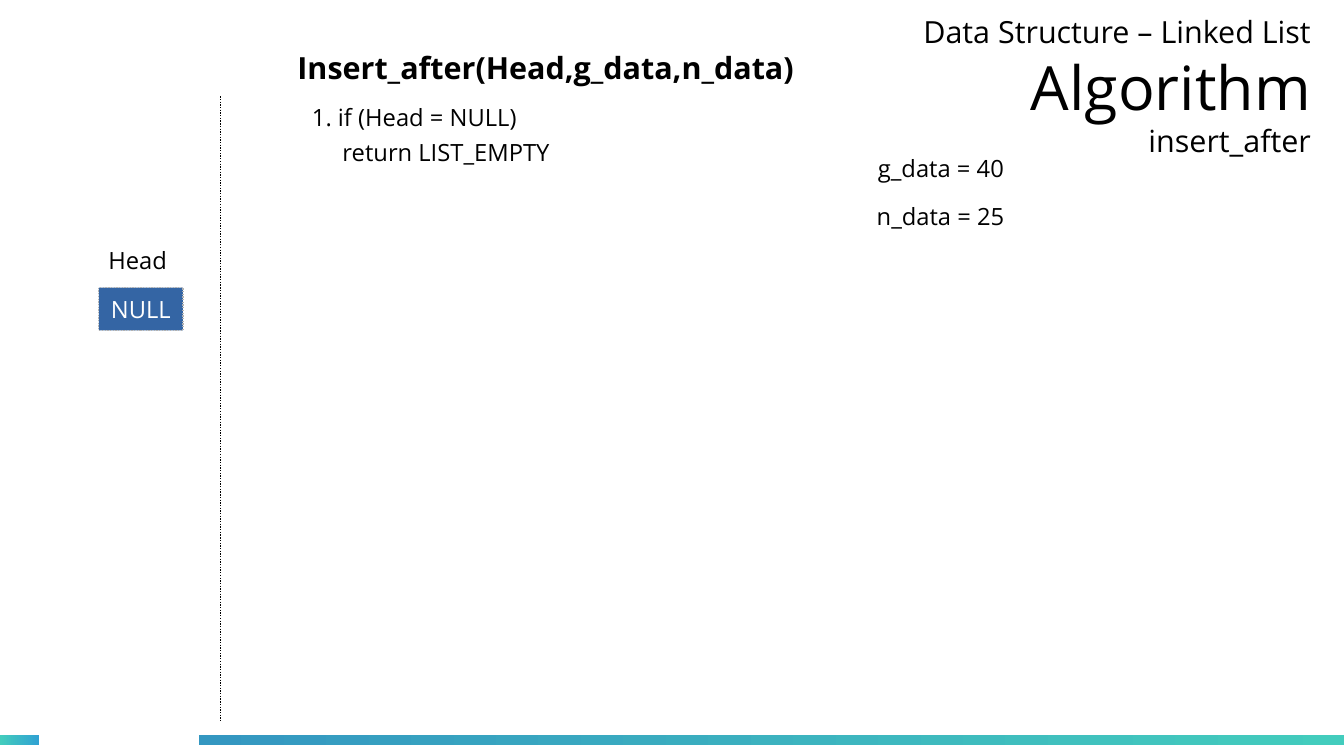
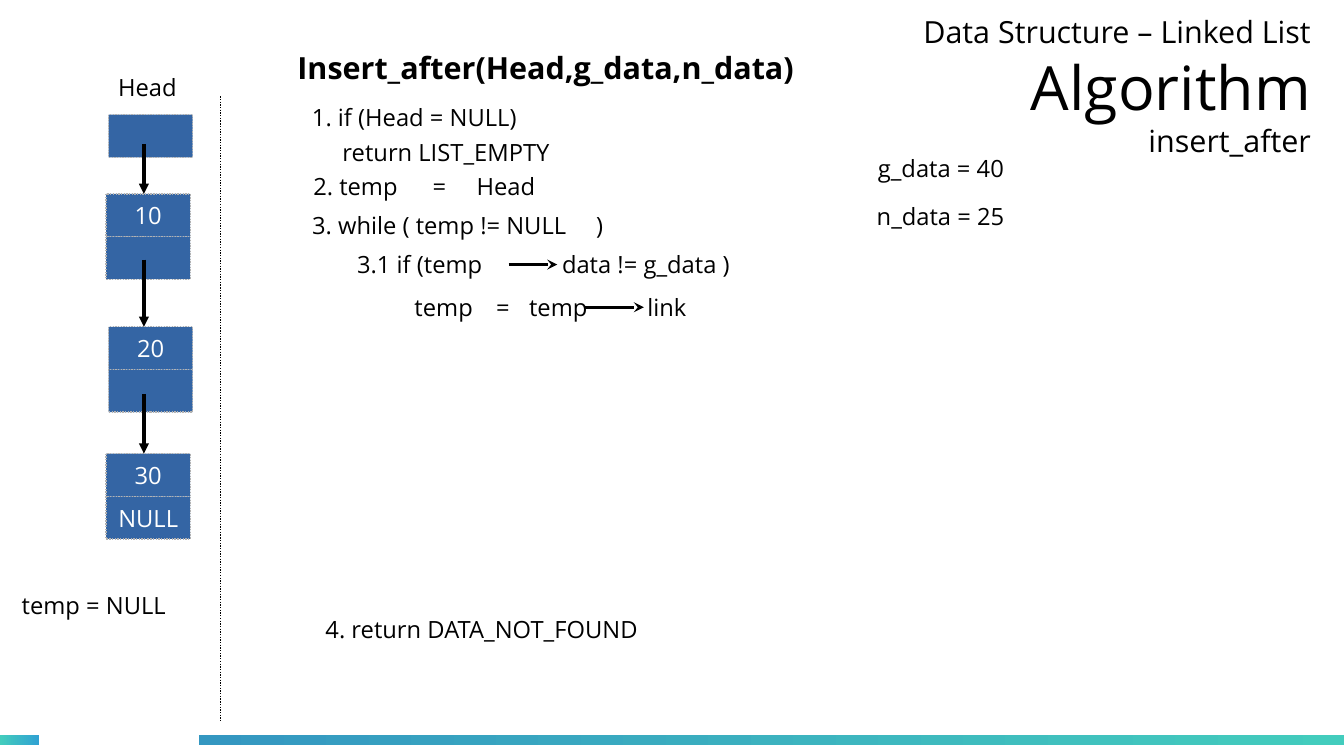
from dataclasses import dataclass

from lxml.etree import SubElement
from pptx import Presentation
from pptx.dml.color import RGBColor
from pptx.enum.dml import MSO_LINE
from pptx.enum.shapes import MSO_CONNECTOR, MSO_SHAPE
from pptx.enum.text import MSO_ANCHOR, MSO_AUTO_SIZE, PP_ALIGN
from pptx.oxml.ns import qn
from pptx.util import Inches, Pt


@dataclass(frozen=True)
class Theme:
    font: str = "Open Sans"
    ink: str = "000000"
    paper: str = "FFFFFF"
    cell: str = "3465A4"
    cell_border: str = "B2B2B2"
    teal: str = "43CCBD"
    sky: str = "30A2D2"
    blue: str = "3497C1"
    body: int = 14
    heading: int = 18
    title: int = 36
    border: float = 0.79
    hairline: float = 0


THEME = Theme()
TITLE_BOX = (7.29, -0.02, 3.46, 1.45)
TITLE_LINES = [
    ("Data Structure – Linked List", THEME.heading),
    ("Algorithm", THEME.title),
    ("insert_after", THEME.heading),
]
FOOTER_BANDS = [
    ((0, 6.03, 0.32, 0.08), (THEME.teal, THEME.sky)),
    ((1.63, 6.03, 9.4, 0.08), (THEME.blue, THEME.teal)),
]
DIVIDER = (1.81, 0.79, 1.81, 5.91)
HEADING = (2.34, 0.35, "Insert_after(Head,g_data,n_data)")
CELL_WIDTH, CELL_HEIGHT = 0.69, 0.35
TEXT_HEIGHT = 0.36

SHARED_TEXTS = [
    (2.46, 0.79, "1. if (Head = NULL)"),
    (2.71, 1.08, "return LIST_EMPTY"),
    (7.1, 1.21, "g_data = 40"),
    (7.09, 1.61, "n_data = 25"),
]
SLIDES = [
    {
        "nodes": [(0.81, 2.36, ["NULL"])],
        "texts": [(0.79, 1.97, "Head")],
        "links": [],
    },
    {
        "nodes": [
            (0.89, 0.94, [""]),
            (0.87, 1.59, ["10", ""]),
            (0.89, 2.68, ["20", ""]),
            (0.87, 3.72, ["30", "NULL"]),
        ],
        "texts": [
            (0.87, 0.55, "Head"),
            (0.08, 4.8, "temp = NULL"),
            (2.47, 1.36, "2. temp"),
            (3.45, 1.36, "="),
            (3.81, 1.36, "Head"),
            (2.46, 1.68, "3. while ( temp != NULL"),
            (4.79, 1.68, ")"),
            (2.83, 2, "3.1 if (temp"),
            (4.51, 2, "data != g_data )"),
            (3.3, 2.35, "temp"),
            (3.97, 2.35, "="),
            (4.24, 2.35, "temp"),
            (5.21, 2.35, "link"),
            (2.57, 4.99, "4. return DATA_NOT_FOUND"),
        ],
        "links": [
            ((1.18, 1.18, 1.18, 1.59), "triangle"),
            ((1.18, 2.13, 1.18, 2.68), "triangle"),
            ((1.18, 3.23, 1.18, 3.72), "triangle"),
            ((4.17, 2.17, 4.57, 2.17), "stealth"),
            ((4.8, 2.52, 5.28, 2.52), "stealth"),
        ],
    },
]


def inches(values):
    return [Inches(value) for value in values]


def write(paragraph, text, size=THEME.body, color=THEME.ink, bold=False, align=PP_ALIGN.LEFT):
    paragraph.alignment = align
    run = paragraph.add_run()
    run.text = text
    run.font.name = THEME.font
    run.font.size = Pt(size)
    run.font.bold = bold
    run.font.color.rgb = RGBColor.from_string(color)


def add_text(slide, left, top, text, size=THEME.body, **style):
    width = (len(text) * 0.13 + 0.3) * size / THEME.body
    box = slide.shapes.add_textbox(*inches((left, top, width, TEXT_HEIGHT)))
    box.text_frame.word_wrap = True
    write(box.text_frame.paragraphs[0], text, size=size, **style)


def add_node(slide, left, top, cells):
    for index, value in enumerate(cells):
        place = (left, top + index * CELL_HEIGHT, CELL_WIDTH, CELL_HEIGHT)
        shape = slide.shapes.add_shape(MSO_SHAPE.RECTANGLE, *inches(place))
        shape.shadow.inherit = False
        shape.fill.solid()
        shape.fill.fore_color.rgb = RGBColor.from_string(THEME.cell)
        shape.line.color.rgb = RGBColor.from_string(THEME.cell_border)
        shape.line.width = Pt(THEME.border)
        shape.line.dash_style = MSO_LINE.ROUND_DOT
        if value:
            frame = shape.text_frame
            frame.word_wrap = False
            frame.vertical_anchor = MSO_ANCHOR.MIDDLE
            write(frame.paragraphs[0], value, color=THEME.paper, align=PP_ALIGN.CENTER)


def add_line(slide, ends, width=THEME.hairline, dash=None, arrow=None):
    connector = slide.shapes.add_connector(MSO_CONNECTOR.STRAIGHT, *inches(ends))
    connector.line.color.rgb = RGBColor.from_string(THEME.ink)
    connector.line.width = Pt(width)
    if dash:
        connector.line.dash_style = dash
    if arrow:
        SubElement(connector.get_or_add_ln(), qn("a:tailEnd"), type=arrow)
    SubElement(connector.element.spPr, qn("a:effectLst"))


def add_title(slide):
    frame = slide.shapes.title.text_frame
    for index, (text, size) in enumerate(TITLE_LINES):
        paragraph = frame.add_paragraph() if index else frame.paragraphs[0]
        write(paragraph, text, size=size, align=PP_ALIGN.RIGHT)


def prepare_layout(layout):
    for placeholder in list(layout.placeholders):
        if placeholder.placeholder_format.idx:
            placeholder.element.getparent().remove(placeholder.element)
            continue
        placeholder.left, placeholder.top, placeholder.width, placeholder.height = inches(TITLE_BOX)
        frame = placeholder.text_frame
        frame.margin_left = frame.margin_right = frame.margin_top = frame.margin_bottom = 0
        frame.vertical_anchor = MSO_ANCHOR.MIDDLE
        frame.auto_size = MSO_AUTO_SIZE.NONE


def add_footer_bands(slide, layout):
    for place, colors in FOOTER_BANDS:
        band = slide.shapes.add_shape(MSO_SHAPE.RECTANGLE, *inches(place))
        band.shadow.inherit = False
        band.line.fill.background()
        band.fill.gradient()
        band.fill.gradient_angle = 0
        for stop, color in zip(band.fill.gradient_stops, colors):
            stop.color.rgb = RGBColor.from_string(color)
        layout.shapes.element.append(band.element)


def build_slide(slide, content):
    add_title(slide)
    add_line(slide, DIVIDER, width=THEME.border, dash=MSO_LINE.ROUND_DOT)
    add_text(slide, *HEADING, size=THEME.heading, bold=True)
    for node in content["nodes"]:
        add_node(slide, *node)
    for text in SHARED_TEXTS + content["texts"]:
        add_text(slide, *text)
    for ends, arrow in content["links"]:
        add_line(slide, ends, arrow=arrow)


def main():
    presentation = Presentation()
    presentation.slide_width, presentation.slide_height = inches((11.02, 6.2))
    layout = presentation.slide_layouts[5]
    prepare_layout(layout)
    slides = [presentation.slides.add_slide(layout) for _ in SLIDES]
    add_footer_bands(slides[0], layout)
    for slide, content in zip(slides, SLIDES):
        build_slide(slide, content)
    presentation.save("out.pptx")


if __name__ == "__main__":
    main()
